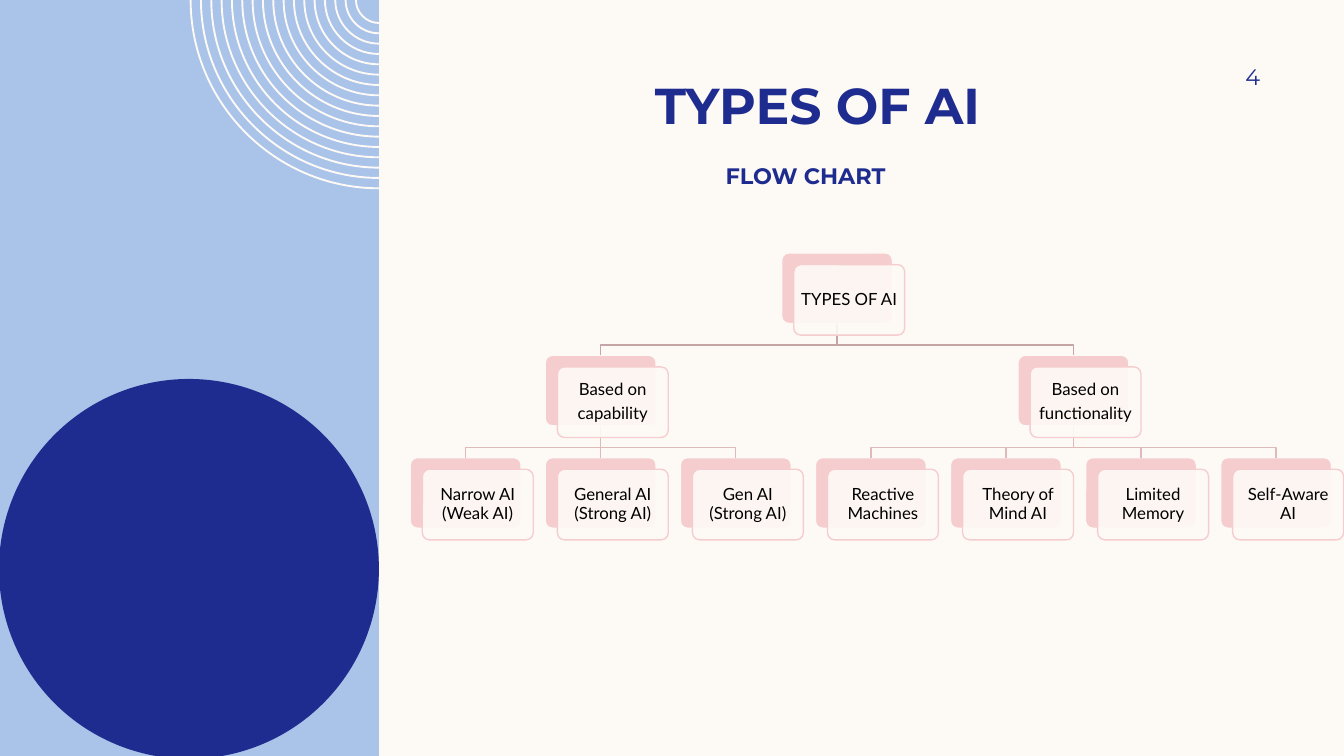
from dataclasses import dataclass, field
from typing import Iterator

from lxml.etree import SubElement
from pptx import Presentation
from pptx.dml.color import RGBColor
from pptx.enum.shapes import MSO_CONNECTOR, MSO_SHAPE
from pptx.enum.text import MSO_ANCHOR, PP_ALIGN
from pptx.oxml.ns import qn
from pptx.util import Pt

HUES = {"cream": "FDFAF6", "sky": "AAC3E8", "navy": "1F2C8F", "pink": "F5CDCE",
        "rose": "C4A4A5", "blush": "DEBABB", "black": "000000"}
EDGE = 270.72                      # right side of the blue panel
LEFT, STEP = 293.04, 96.48         # first leaf and gap from leaf to leaf
TOP, DROP = 180.72, 73.1           # first row and gap from row to row
WIDE, HIGH = 79.2, 50.4
SHIFT, LIFT = 8.64, 8.3            # front card against back card
BEND = 15.3                        # from back card down to the turn


@dataclass
class Node:
    lines: list[str]
    kids: list["Node"] = field(default_factory=list)
    x: float = 0
    y: float = 0
    back: object = None

    @property
    def mid(self) -> float:
        return self.x + WIDE / 2


TREE = Node(["TYPES OF AI"], [
    Node(["Based on", "capability"], [
        Node([text]) for text in
        ("Narrow AI (Weak AI)", "General AI (Strong AI)", "Gen AI (Strong AI)")]),
    Node(["Based on", "functionality"], [
        Node([text]) for text in
        ("Reactive Machines", "Theory of Mind AI", "Limited Memory", "Self-Aware AI")]),
])


def hue(name: str) -> RGBColor:
    return RGBColor.from_string(HUES[name])


def apply(item, values: dict) -> None:
    for name, value in values.items():
        setattr(item, name, value)


def paint(shape, fill: str | None, line: str | None = None) -> None:
    shape.shadow.inherit = False
    if fill:
        shape.fill.solid()
        shape.fill.fore_color.rgb = hue(fill)
    else:
        shape.fill.background()
    if line:
        shape.line.color.rgb = hue(line)
        shape.line.width = Pt(1)
    else:
        shape.line.fill.background()


def add(slide, kind, box: tuple, fill: str, line: str | None = None):
    shape = slide.shapes.add_shape(kind, *map(Pt, box))
    paint(shape, fill, line)
    return shape


def frame(shape, pads: tuple, anchor):
    text = shape.text_frame
    apply(text, {"word_wrap": True, "vertical_anchor": anchor})
    sides = ("margin_left", "margin_top", "margin_right", "margin_bottom")
    apply(text, dict(zip(sides, map(Pt, pads))))
    return text


def write(para, text: str, size: int, face: str, color: str, bold: bool = False) -> None:
    run = para.add_run()
    run.text = text
    apply(run.font, {"size": Pt(size), "name": face, "bold": bold})
    run.font.color.rgb = hue(color)


def place(node: Node, row: int, slots: Iterator[int]) -> None:
    """Put leaves in order and each parent midway over its kids."""
    node.y = TOP + row * DROP
    for kid in node.kids:
        place(kid, row + 1, slots)
    if node.kids:
        node.x = (node.kids[0].x + node.kids[-1].x) / 2
    else:
        node.x = LEFT + next(slots) * STEP


def walk(node: Node) -> Iterator[Node]:
    yield node
    for kid in node.kids:
        yield from walk(kid)


def card(slide, node: Node, shift: float, lift: float, fill: str, line: str):
    box = (node.x + shift, node.y + lift, WIDE, HIGH)
    shape = add(slide, MSO_SHAPE.ROUNDED_RECTANGLE, box, fill, line)
    shape.adjustments[0] = 0.1
    return shape


def link(slide, node: Node, kid: Node, color: str) -> None:
    start, turn = node.y + HIGH, node.y + HIGH + BEND
    if abs(node.mid - kid.mid) < 0.1:
        wire = slide.shapes.add_connector(MSO_CONNECTOR.STRAIGHT, 0, 0, 0, 0)
        wire.begin_connect(node.back, 2)
        wire.end_connect(kid.back, 0)
        wire.line.color.rgb = hue(color)
        wire.line.width = Pt(1)
        SubElement(wire.element.spPr, qn("a:effectLst"))
        return
    pen = slide.shapes.build_freeform(Pt(node.mid), Pt(start))
    bends = [(node.mid, turn), (kid.mid, turn), (kid.mid, kid.y)]
    pen.add_line_segments([(Pt(x), Pt(y)) for x, y in bends], close=False)
    paint(pen.convert_to_shape(), None, color)


def front(slide, node: Node) -> None:
    shape = card(slide, node, SHIFT, LIFT, "cream", "pink")
    tint = next(shape.element.spPr.iter(qn("a:srgbClr")))
    SubElement(tint, qn("a:alpha"), val="90000")
    text = frame(shape, (3.6,) * 4, MSO_ANCHOR.MIDDLE)
    for i, line in enumerate(node.lines):
        para = text.add_paragraph() if i else text.paragraphs[0]
        apply(para, {"alignment": PP_ALIGN.CENTER, "line_spacing": 0.9,
                     "space_after": Pt(4.2)})
        write(para, line, 12, "Lato", "black")


def rings(slide) -> None:
    """Draw the quarter rings as thin curved bands in one shape."""
    def arc(radius: float) -> list[tuple]:
        pull = radius * 0.55
        spots = [(radius, 0), (radius, pull), (pull, radius), (0, radius)]
        return [(Pt(EDGE - x), Pt(y)) for x, y in spots]

    pen = None
    for i in range(17):
        outer = 135.2 - i * 7.38
        band = arc(outer) + arc(outer - 1.35)[::-1]
        if pen is None:
            pen = slide.shapes.build_freeform(*band[0])
        else:
            pen.move_to(*band[0])
        pen.add_line_segments(band[1:], close=True)
    shape = pen.convert_to_shape()
    paint(shape, "cream")

    # Each band has seven segments: a curve of three, a joint, a curve of three
    lines = list(shape.element.spPr.iter(qn("a:lnTo")))
    for start in range(0, len(lines), 7):
        for at in (start, start + 4):
            curve = lines[at]
            curve.tag = qn("a:cubicBezTo")
            for line in lines[at + 1:at + 3]:
                curve.append(line[0])
                line.getparent().remove(line)


def heads(slide) -> None:
    box = slide.shapes.add_textbox(*map(Pt, (400.3, 73.4, 412.6, 64.8)))
    text = frame(box, (7.2, 0, 7.2, 3.5), MSO_ANCHOR.BOTTOM)
    first, second = text.paragraphs[0], text.add_paragraph()
    second.line_spacing = Pt(38.6)
    rows = ((first, "TYPES OF AI", 36, 60.5), (second, "FLOW CHART", 16, 111))
    for para, words, size, indent in rows:
        write(para, words, size, "Montserrat", "navy", True)
        para._p.get_or_add_pPr().set("marL", str(Pt(indent)))

    box = slide.shapes.add_textbox(*map(Pt, (822.2, 36, 77.8, 37.4)))
    para = frame(box, (7.2, 3.6, 0, 3.6), MSO_ANCHOR.MIDDLE).paragraphs[0]
    para.alignment = PP_ALIGN.RIGHT
    write(para, "4", 16, "Montserrat", "navy")


def main() -> None:
    deck = Presentation()
    apply(deck, {"slide_width": Pt(960), "slide_height": Pt(540)})
    slide = deck.slides.add_slide(deck.slide_layouts[6])
    slide.background.fill.solid()
    slide.background.fill.fore_color.rgb = hue("cream")

    add(slide, MSO_SHAPE.RECTANGLE, (0, 0, EDGE, 540), "sky")
    rings(slide)
    add(slide, MSO_SHAPE.OVAL, (-0.7, 270.7, 271.4, 271.4), "navy")
    heads(slide)

    place(TREE, 0, iter(range(7)))
    nodes = list(walk(TREE))
    for node in nodes:
        node.back = card(slide, node, 0, 0, "pink", "cream")
    for node in nodes:
        for kid in node.kids:
            link(slide, node, kid, "rose" if node is TREE else "blush")
    for node in nodes:
        front(slide, node)
    deck.save("out.pptx")


if __name__ == "__main__":
    main()
